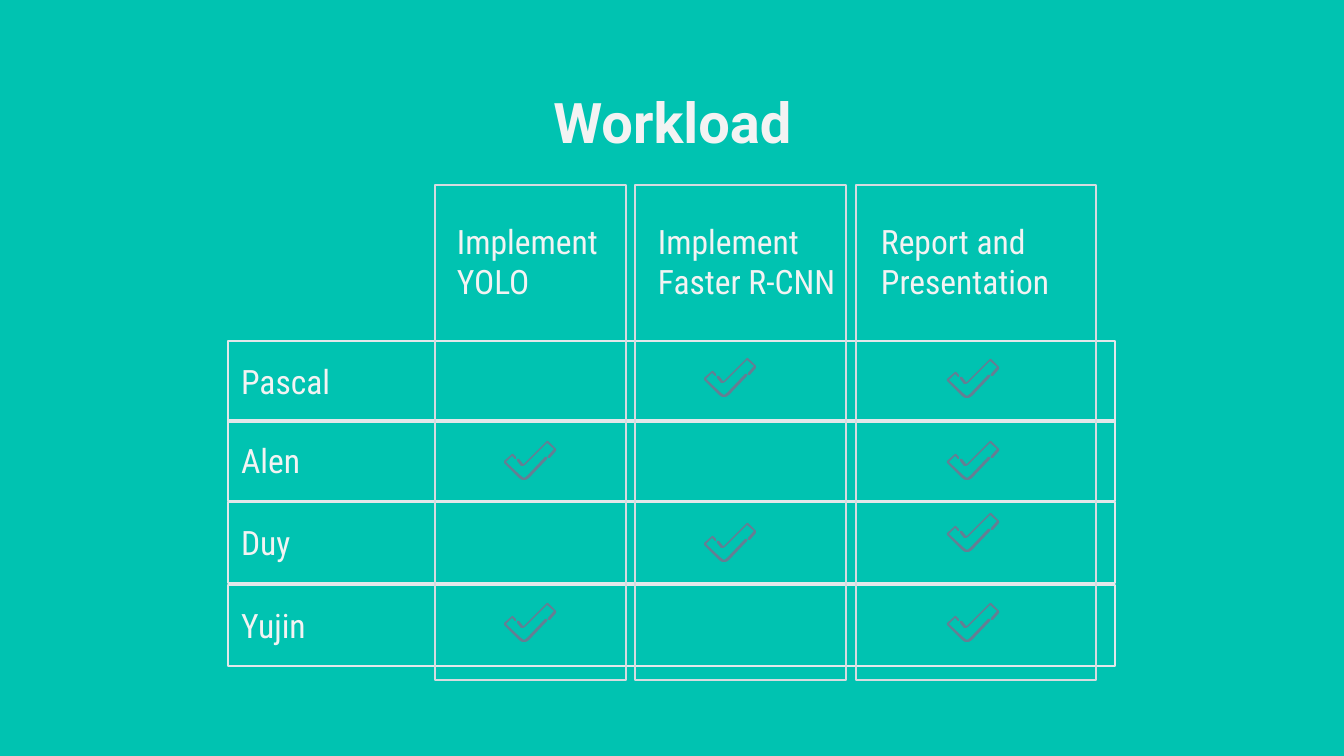
from dataclasses import dataclass

from pptx import Presentation
from pptx.dml.color import RGBColor
from pptx.enum.shapes import MSO_SHAPE
from pptx.enum.text import MSO_ANCHOR, MSO_AUTO_SIZE, PP_ALIGN
from pptx.util import Pt

PX = 914400 / 134.4
INSET = 13


@dataclass(frozen=True)
class Theme:
    background: RGBColor = RGBColor.from_string("00C3B1")
    text: RGBColor = RGBColor.from_string("F3F3F3")
    row_line: RGBColor = RGBColor.from_string("E3E7EA")
    column_line: RGBColor = RGBColor.from_string("D6DBE0")
    tick: RGBColor = RGBColor.from_string("657E93")
    title_font: str = "Roboto"
    body_font: str = "Roboto Condensed"
    title_size: int = 30
    body_size: int = 18
    line_width: float = 0.75


THEME = Theme()

# Tasks: heading, left edge, width, heading offset, heading width, tick offset
TASKS = [
    ("Implement YOLO", 207, 191, 9, 203, 69),
    ("Implement Faster R-CNN", 407, 211, 10, 211, 69),
    ("Report and Presentation", 628, 240, 12, 211, 91),
]
# Members: name, top edge, {task index: tick offset from the row's top}
MEMBERS = [
    ("Pascal", 156, {1: 17, 2: 18}),
    ("Alen", 235, {0: 21, 2: 21}),
    ("Duy", 317, {1: 21, 2: 11}),
    ("Yujin", 400, {0: 18, 2: 18}),
]
ROW_HEIGHT = 81

TICK_OUTLINES = [
    [(8, 13), (0, 20), (0, 22), (15, 37), (18, 39), (22, 39), (25, 37),
     (43, 18), (43, 16), (41, 16), (23, 35), (20, 37), (17, 35), (2, 21),
     (8, 15), (11, 18), (12, 18), (12, 16), (9, 13)],
    [(43, 0), (20, 23), (19, 23), (15, 18), (13, 18), (13, 20), (17, 25),
     (19, 25), (21, 24), (43, 2), (50, 8), (44, 15), (44, 17), (46, 17),
     (52, 10), (52, 8), (44, 0)],
]


def emu(*lengths):
    return [round(length * PX) for length in lengths]


def write(shape, text, font_name, size, anchor, align=PP_ALIGN.LEFT, bold=False):
    frame = shape.text_frame
    frame.text = text
    frame.word_wrap = True
    frame.auto_size = MSO_AUTO_SIZE.NONE
    frame.vertical_anchor = anchor
    frame.margin_left, frame.margin_top, frame.margin_right, frame.margin_bottom = emu(*[INSET] * 4)
    paragraph = frame.paragraphs[0]
    paragraph.alignment = align
    font = paragraph.runs[0].font
    font.name, font.size, font.bold = font_name, Pt(size), bold
    font.color.rgb = THEME.text


def place_title(slide, box, text):
    title = slide.shapes.title
    title.left, title.top, title.width, title.height = emu(*box)
    write(title, text, THEME.title_font, THEME.title_size, MSO_ANCHOR.TOP,
          PP_ALIGN.CENTER, bold=True)


def add_frame(slide, box, color):
    """Add an unfilled rectangle with a thin border."""
    frame = slide.shapes.add_shape(MSO_SHAPE.RECTANGLE, *emu(*box))
    frame.shadow.inherit = False
    frame.fill.background()
    frame.line.color.rgb = color
    frame.line.width = Pt(THEME.line_width)
    return frame


def add_tick(slide, left, top):
    for start, *rest in TICK_OUTLINES:
        builder = slide.shapes.build_freeform(*start, scale=PX)
        builder.add_line_segments(rest, close=True)
        stroke = builder.convert_to_shape(*emu(left, top))
        stroke.shadow.inherit = False
        stroke.fill.solid()
        stroke.fill.fore_color.rgb = THEME.tick
        stroke.line.fill.background()


def add_workload_grid(slide, box):
    """Cross one framed row per member with one framed column per task."""
    left, top, width, height = box
    for name, row_top, _ in MEMBERS:
        row = add_frame(slide, (left, top + row_top, width, ROW_HEIGHT), THEME.row_line)
        write(row, name, THEME.body_font, THEME.body_size, MSO_ANCHOR.MIDDLE)

    for task, column_left, column_width, offset, heading_width, _ in TASKS:
        x = left + column_left
        add_frame(slide, (x, top, column_width, height), THEME.column_line)
        heading = slide.shapes.add_textbox(*emu(x + offset, top + 23, heading_width, 109))
        write(heading, task, THEME.body_font, THEME.body_size, MSO_ANCHOR.TOP)

    for _, row_top, ticks in MEMBERS:
        for task_index, tick_top in ticks.items():
            _, column_left, *_, tick_left = TASKS[task_index]
            add_tick(slide, left + column_left + tick_left, top + row_top + tick_top)


def main():
    deck = Presentation()
    deck.slide_width, deck.slide_height = emu(1344, 756)
    slide = deck.slides.add_slide(deck.slide_layouts[5])
    slide.background.fill.solid()
    slide.background.fill.fore_color.rgb = THEME.background
    place_title(slide, (106, 75, 1133, 85), "Workload")
    add_workload_grid(slide, (228, 185, 887, 495))
    deck.save("out.pptx")


if __name__ == "__main__":
    main()
